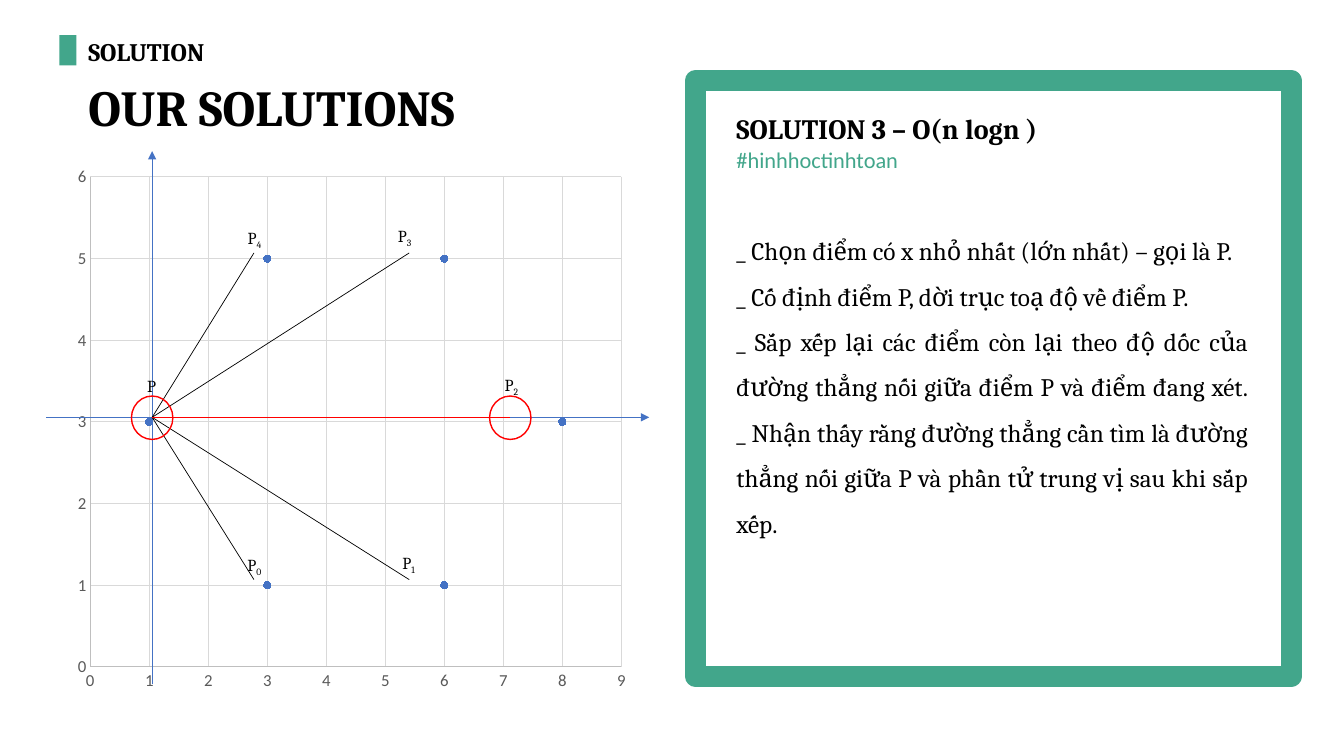
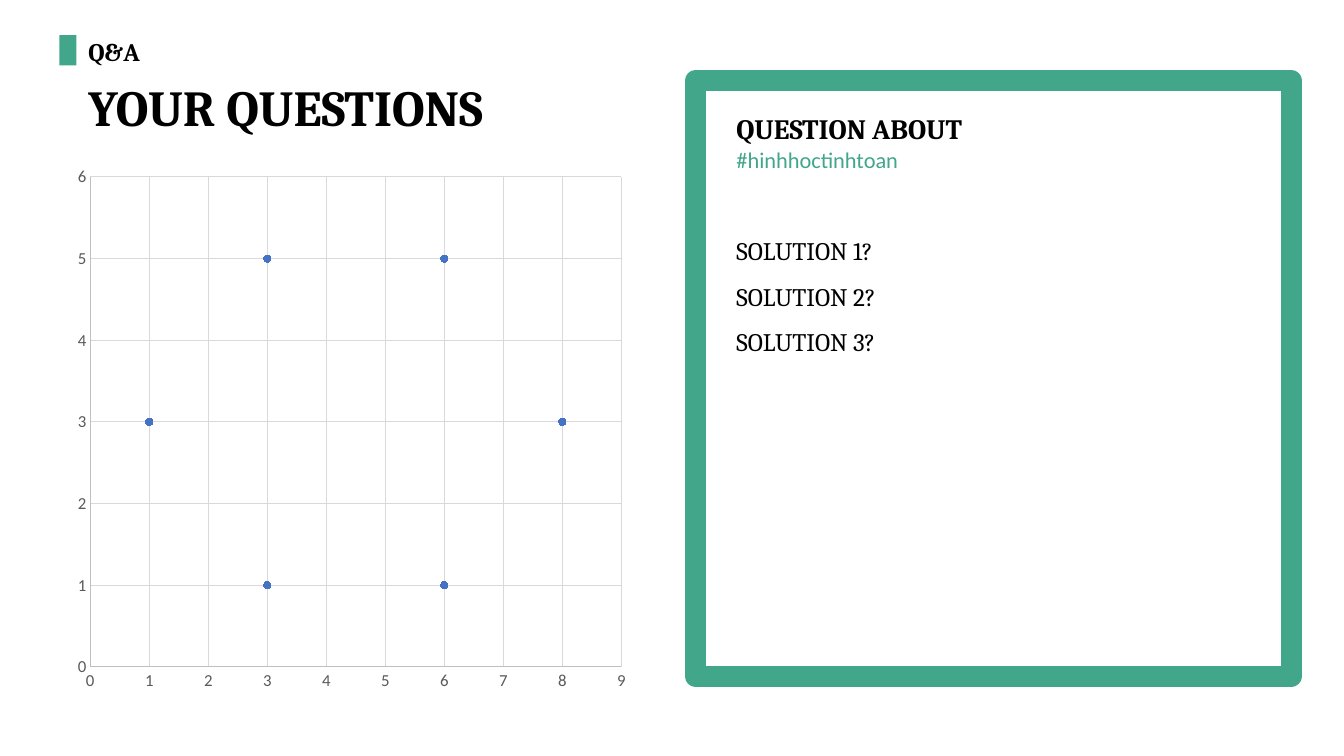
import pptx
import pptx.chart.data
import pptx.dml.color
import pptx.enum.chart
import pptx.enum.shapes
import pptx.enum.text
import pptx.oxml
import pptx.oxml.ns
import pptx.util
from lxml import etree

Pt = pptx.util.Pt
RGBColor = pptx.dml.color.RGBColor
PP_ALIGN = pptx.enum.text.PP_ALIGN
MSO_SHAPE = pptx.enum.shapes.MSO_SHAPE
qn = pptx.oxml.ns.qn

GREEN = RGBColor(0x42, 0xA6, 0x8B)
BLUE = RGBColor(0x44, 0x72, 0xC4)
RED = RGBColor(0xFF, 0x00, 0x00)
BLACK = RGBColor(0x00, 0x00, 0x00)
WHITE = RGBColor(0xFF, 0xFF, 0xFF)
TICK_GREY = RGBColor(0x59, 0x59, 0x59)
AXIS_GREY = RGBColor(0xBF, 0xBF, 0xBF)
GRID_GREY = RGBColor(0xD9, 0xD9, 0xD9)

POINTS = [(3, 5), (1, 3), (3, 1), (6, 1), (8, 3), (6, 5)]
PLOT_LAYOUT = {"x": 0.04, "y": 0.038, "w": 0.931, "h": 0.897}

PAGES = [
    ("SOLUTION", "OUR SOLUTIONS", "SOLUTION 3 – O(n logn )", 233, [
        "_ Chọn điểm có x nhỏ nhất (lớn nhất) – gọi là P.",
        "_ Cố định điểm P, dời trục toạ độ về điểm P.",
        "_ Sắp xếp lại các điểm còn lại theo độ dốc của đường thẳng nối giữa "
        "điểm P và điểm đang xét. _ Nhận thấy rằng đường thẳng cần tìm là "
        "đường thẳng nối giữa P và phần tử trung vị sau khi sắp xếp.",
    ]),
    ("Q&A", "YOUR QUESTIONS", "QUESTION ABOUT", 102,
     ["SOLUTION 1?", "SOLUTION 2?", "SOLUTION 3?"]),
]


def add_text(slide, box, lines, size, font="Cambria", color=BLACK, bold=False,
             align=PP_ALIGN.LEFT, spacing=1.0, wrap=True):
    frame = slide.shapes.add_textbox(*map(Pt, box)).text_frame
    frame.word_wrap = wrap
    if wrap:
        frame.auto_size = pptx.enum.text.MSO_AUTO_SIZE.SHAPE_TO_FIT_TEXT
    frame.text = "\n".join(lines)
    for paragraph in frame.paragraphs:
        paragraph.alignment = align
        paragraph.line_spacing = spacing
        paragraph.font.size = Pt(size)
        for run in paragraph.runs:
            run.font.size = Pt(size)
            run.font.name = font
            run.font.bold = bold
            run.font.color.rgb = color
    return frame


def add_line(slide, start, end, color, arrow=False):
    line = slide.shapes.add_connector(
        pptx.enum.shapes.MSO_CONNECTOR.STRAIGHT, *map(Pt, start + end))
    line.line.color.rgb = color
    line.line.width = Pt(0.5)
    if arrow:
        stroke = line.line._get_or_add_ln()
        etree.SubElement(stroke, qn("a:tailEnd"), type="triangle")
    etree.SubElement(line._element.spPr, qn("a:effectLst"))


deck = pptx.Presentation()
deck.slide_width, deck.slide_height = Pt(960), Pt(540)

# Shared frame of both slides: header, panel and scatter chart
for section, title, heading, body_height, body in PAGES:
    slide = deck.slides.add_slide(deck.slide_layouts[6])

    # Header
    marker = slide.shapes.add_shape(
        MSO_SHAPE.RECTANGLE, Pt(42.5), Pt(25.2), Pt(12.2), Pt(21.6))
    marker.shadow.inherit = False
    marker.fill.solid()
    marker.fill.fore_color.rgb = GREEN
    marker.line.fill.background()
    add_text(slide, (56, 22.3, 98, 29), [section], 18, bold=True)
    add_text(slide, (56, 51, 407.5, 51), [title], 36, bold=True)

    # Panel with its text
    panel = slide.shapes.add_shape(
        MSO_SHAPE.RECTANGLE, Pt(496.8), Pt(57.6), Pt(425.5), Pt(425.5))
    panel.shadow.inherit = False
    panel.fill.solid()
    panel.fill.fore_color.rgb = WHITE
    panel.line.color.rgb = GREEN
    panel.line.width = Pt(15)
    add_text(slide, (519, 76.3, 242.6, 31.5), [heading], 20, bold=True)
    add_text(slide, (519, 100.8, 148.3, 26.6), ["#hinhhoctinhtoan"], 16,
             font="Calibri", color=GREEN)
    add_text(slide, (519, 154, 379.4, body_height), body, 18,
             align=PP_ALIGN.JUSTIFY, spacing=1.5)

    # Scatter chart
    data = pptx.chart.data.XyChartData()
    series_data = data.add_series("Series 1")
    for x, y in POINTS:
        series_data.add_data_point(x, y)
    chart = slide.shapes.add_chart(
        pptx.enum.chart.XL_CHART_TYPE.XY_SCATTER,
        Pt(48.2), Pt(111.6), Pt(407.5), Pt(390.2), data).chart
    chart.has_legend = False
    chart.has_title = False
    chart.font.name = "Calibri"
    chart.font.size = Pt(10)
    chart.font.color.rgb = BLACK
    chart.plots[0].vary_by_categories = False

    series = chart.plots[0].series[0]
    series.smooth = False
    series.format.line.fill.background()
    series.marker.style = pptx.enum.chart.XL_MARKER_STYLE.CIRCLE
    series.marker.size = 5
    series.marker.format.fill.solid()
    series.marker.format.fill.fore_color.rgb = BLUE
    series.marker.format.line.color.rgb = BLUE

    for axis, maximum in ((chart.category_axis, 9), (chart.value_axis, 6)):
        axis.minimum_scale, axis.maximum_scale = 0, maximum
        axis.major_unit = 1
        axis.major_tick_mark = pptx.enum.chart.XL_TICK_MARK.NONE
        axis.minor_tick_mark = pptx.enum.chart.XL_TICK_MARK.NONE
        axis.has_major_gridlines = True
        axis.tick_labels.font.name = "Calibri"
        axis.tick_labels.font.size = Pt(12)
        axis.tick_labels.font.color.rgb = TICK_GREY
        for stroke, color in ((axis.format.line, AXIS_GREY),
                              (axis.major_gridlines.format.line, GRID_GREY)):
            stroke.color.rgb = color
            stroke.width = Pt(0.75)

    # Fixed inner plot area
    plot_area = chart._chartSpace.chart.plotArea
    for old_layout in plot_area.findall(qn("c:layout")):
        plot_area.remove(old_layout)
    layout = etree.Element(qn("c:layout"))
    plot_area.insert(0, layout)
    manual = etree.SubElement(layout, qn("c:manualLayout"))
    etree.SubElement(manual, qn("c:layoutTarget"), val="inner")
    for side in "xy":
        etree.SubElement(manual, qn(f"c:{side}Mode"), val="edge")
    for side, share in PLOT_LAYOUT.items():
        etree.SubElement(manual, qn(f"c:{side}"), val=str(share))

# Geometry drawn over the chart of the solution slide
solution = deck.slides[0]
pivot = (108.7, 298.1)
median = (364.5, 298.1)
far_ends = [(181.4, 414), (292.3, 414), median, (292.3, 180.7), (181.4, 180.7)]

# Axes moved to P, and rays to the other points
add_line(solution, (pivot[0], 488.9), (pivot[0], 108), BLUE, arrow=True)
add_line(solution, (33.1, pivot[1]), (463.7, pivot[1]), BLUE, arrow=True)
for end in far_ends:
    add_line(solution, pivot, end, BLACK)

# Circles around P and the median point
for x, y in (pivot, median):
    circle = solution.shapes.add_shape(
        MSO_SHAPE.OVAL, Pt(x - 14.8), Pt(y - 15.2), Pt(29.6), Pt(31))
    circle.shadow.inherit = False
    circle.fill.background()
    circle.line.color.rgb = RED
    circle.line.width = Pt(1)

# Point names
for index, left, top in [("", 95, 265), ("0", 168.5, 392.4), ("1", 278.6, 391),
                         ("2", 352, 264.2), ("3", 275.8, 157.7),
                         ("4", 168.5, 159.1)]:
    name = add_text(solution, (left, top, 26.6, 18), ["P"], 12,
                    align=PP_ALIGN.CENTER, wrap=False)
    if index:
        subscript = name.paragraphs[0].add_run()
        subscript.text = index
        subscript.font.size = Pt(12)
        subscript.font.name = "Cambria"
        subscript.font.color.rgb = BLACK
        subscript.font._element.set("baseline", "-25000")

# Dividing line
add_line(solution, pivot, median, RED)

deck.save("out.pptx")
